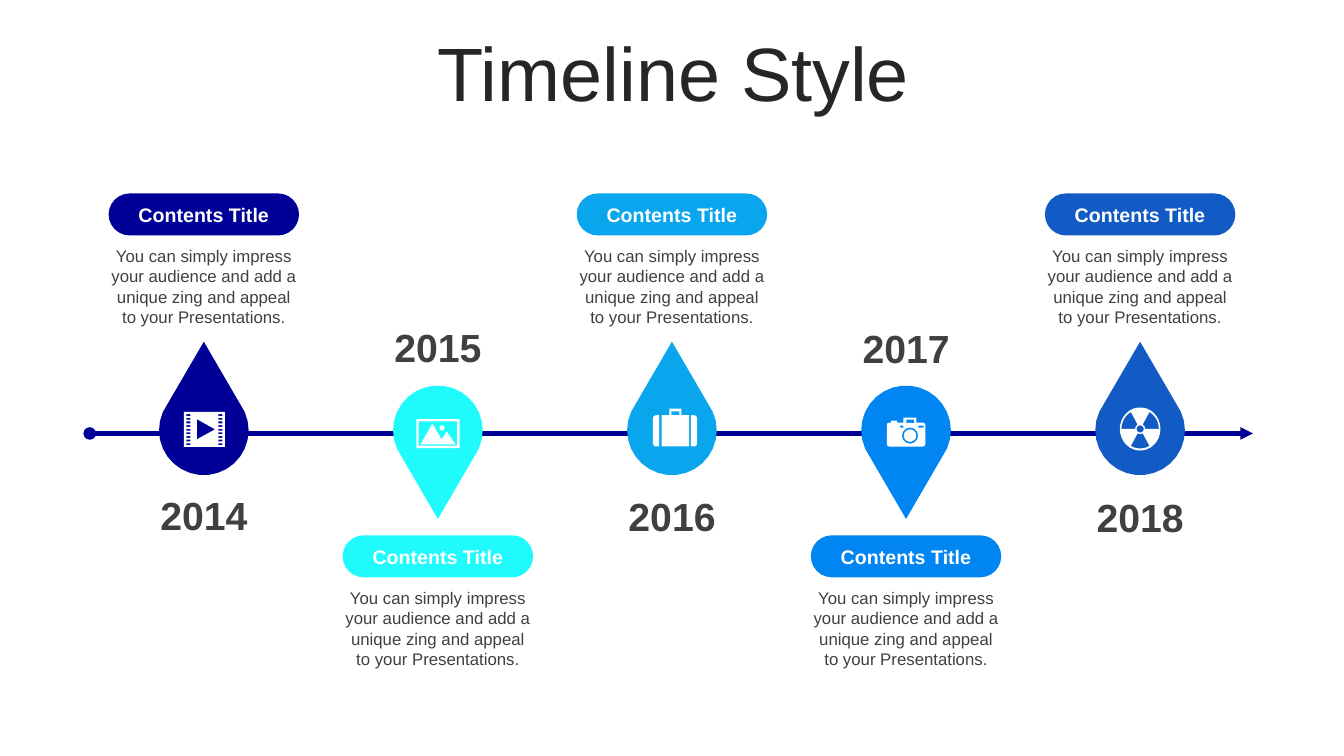
from dataclasses import dataclass
from math import cos, radians, sin

from lxml.etree import SubElement
from pptx import Presentation
from pptx.dml.color import RGBColor as Rgb
from pptx.enum.shapes import MSO_CONNECTOR as Link, MSO_SHAPE as Kind
from pptx.enum.text import MSO_ANCHOR as Anchor, MSO_AUTO_SIZE as Fit, PP_ALIGN as Align
from pptx.oxml.ns import qn
from pptx.util import Pt


@dataclass(frozen=True)
class Theme:
    """Colours, font and type sizes of the slide."""
    font: str = "Arial"
    title: str = "262626"
    text: str = "404040"
    white: str = "FFFFFF"
    line: str = "000096"
    tints: tuple = ("000096", "1FFBFD", "0AA6ED", "0085F2", "125AC4")
    head: int = 54
    year: int = 28
    label: int = 14
    body: int = 12


THEME = Theme()
MID, STEP, AXIS = 480, 167.2, 307.4
BLURB = ("You can simply impress your audience and add a unique zing "
         "and appeal to your Presentations.")
YEARS = (("2014", 350.6), ("2015", 230.4), ("2016", 351.4), ("2017", 231.1), ("2018", 352.1))


def arc(x, y, wide, start, end, high=None):
    """Return points along an arc, in degrees clockwise from the right."""
    if not wide:
        return [(x, y)]
    high = wide if high is None else high
    step = 12 if wide > 10 else 30
    count = round(abs(end - start) / step)
    turns = [radians(start + (end - start) * i / count) for i in range(count + 1)]
    return [(x + wide * cos(t), y + high * sin(t)) for t in turns]


def ring(x, y, wide, high=None):
    """Return the points of a full circle or ellipse."""
    return arc(x, y, wide, 0, 360, high)[:-1]


def box(left, top, right, base, west=0, east=0, extra=()):
    """Return a rectangle with rounded sides and extra points on its top edge."""
    return (arc(left + west, top + west, west, 180, 270) + list(extra)
            + arc(right - east, top + east, east, 270, 360)
            + arc(right - east, base - east, east, 0, 90)
            + arc(left + west, base - west, west, 90, 180))


def bump(left, top, right, base):
    """Return the points of a step that rises from a top edge."""
    return [(left, base), (left, top), (right, top), (right, base)]


def film():
    """Return the outlines of a film frame."""
    holes = [box(x, -11.5 + 2.6 * i, x + 2.9, -10.2 + 2.6 * i)
             for x in (-12.5, 10.4) for i in range(9)]
    return [box(-14.2, -13.1, 15.1, 11.8), [(-5, -8), (-5, 6.5), (8, -0.7)], *holes]


def photo():
    """Return the outlines of a framed landscape."""
    hills = [(-3.9, -4.8), (2.6, 6.5), (6.2, 0.9), (12.7, 10), (-12.5, 10)]
    return [box(-15.4, -8, 15.4, 12.6), box(-13.8, -6.4, 13.8, 11), hills, ring(2.9, -1.8, 1.8)]


def case():
    """Return the outlines of a suitcase."""
    grip = bump(-1.9, -15.5, 6.7, -10.8)
    return [box(-13.6, -10.8, -9.1, 11.5, west=2.2), box(13.5, -10.8, 17.9, 11.5, east=2.2),
            box(-7.5, -10.8, 12.2, 11.5, extra=grip), box(-0.5, -13.5, 5.3, -10.8)]


def camera():
    """Return the outlines of a camera."""
    top = bump(-10.6, -7, -6.3, -5.5) + bump(-1.9, -9.1, 7.4, -5.5)
    return [box(-13.7, -5.5, 13.8, 11.6, 1.8, 1.8, top), box(0.2, -7.7, 5.8, -5.3),
            box(-4.1, -3.4, -1.9, -1.9), box(8.9, -3.4, 12.5, -1.9),
            ring(2.9, 3.8, 5.8), ring(2.9, 3.8, 4.5)]


def atom():
    """Return the outlines of a three-bladed warning sign."""
    blades = [arc(0, -1, 13.4, a, a + 60, 14) + arc(0, -1, 3.6, a + 60, a)
              for a in (60, 180, 300)]
    return [ring(0, -1, 14.5, 15.4), ring(0, -1, 2.6), *blades]


def drop(side):
    """Return the outline of a drop that points up (1) or down (-1)."""
    curve = arc(0, 0, 32, -36, 216) + [(0, -63.3)]
    return [[(x, y * side) for x, y in curve]]


def paint(shape, tint):
    """Fill a shape with a plain colour and drop its outline and shadow."""
    shape.shadow.inherit = False
    shape.fill.solid()
    shape.fill.fore_color.rgb = Rgb.from_string(tint)
    shape.line.fill.background()


def draw(slide, paths, x, tint):
    """Draw closed outlines around a point on the axis as one shape."""
    spots = [[(Pt(x + a), Pt(AXIS + b)) for a, b in path] for path in paths]
    pen = slide.shapes.build_freeform(*spots[0][0])
    for i, path in enumerate(spots):
        if i:
            pen.move_to(*path[0])
        pen.add_line_segments(path[1:], close=True)
    paint(pen.convert_to_shape(), tint)


def write(shape, text, size, tint, bold=False):
    """Set centred text in a shape and format it."""
    frame = shape.text_frame
    frame.word_wrap = True
    frame.text = text
    para = frame.paragraphs[0]
    para.alignment = Align.CENTER
    for run in para.runs:
        run.font.name, run.font.size, run.font.bold = THEME.font, Pt(size), bold
        run.font.color.rgb = Rgb.from_string(tint)
    return frame


def place(slide, x, top, wide, high):
    """Add a text box centred on x."""
    return slide.shapes.add_textbox(Pt(x - wide / 2), Pt(top), Pt(wide), Pt(high))


def add_title(slide, text):
    """Move, fill and format the title placeholder."""
    title = slide.shapes.title
    title.left, title.top, title.width, title.height = Pt(25.2), Pt(26.6), Pt(911.5), Pt(56.9)
    frame = write(title, text, THEME.head, THEME.title)
    frame.auto_size = Fit.NONE
    frame.vertical_anchor = Anchor.MIDDLE
    frame.paragraphs[0].line_spacing = 0.9


def add_axis(slide):
    """Draw the time axis with a dot at its start and an arrow at its end."""
    axis = slide.shapes.add_connector(Link.STRAIGHT, Pt(64.1), Pt(309.6), Pt(895), Pt(309.6))
    axis.line.width = Pt(3)
    axis.line.color.rgb = Rgb.from_string(THEME.line)
    props = axis.element.spPr
    stroke = props.find(qn("a:ln"))
    SubElement(stroke, qn("a:headEnd"), type="oval")
    SubElement(stroke, qn("a:tailEnd"), type="triangle")
    SubElement(props, qn("a:effectLst"))


def add_pill(slide, x, top, tint):
    """Add a rounded label."""
    pill = slide.shapes.add_shape(Kind.ROUNDED_RECTANGLE, Pt(x - 68), Pt(top), Pt(136), Pt(30))
    pill.adjustments[0] = 0.5
    paint(pill, tint)
    frame = write(pill, "Contents Title", THEME.label, THEME.white, True)
    frame.vertical_anchor = Anchor.MIDDLE


def add_year(slide, x, top, year):
    """Add a year beside its drop."""
    frame = write(place(slide, x, top, 90, 34), year, THEME.year, THEME.text, True)
    frame.vertical_anchor = Anchor.MIDDLE
    frame.margin_left = frame.margin_right = frame.margin_top = frame.margin_bottom = 0


def main():
    """Build the slide and save it."""
    deck = Presentation()
    deck.slide_width, deck.slide_height = Pt(960), Pt(540)
    slide = deck.slides.add_slide(deck.slide_layouts[5])
    add_title(slide, "Timeline Style")
    add_axis(slide)
    icons = (film, photo, case, camera, atom)
    for i, ((year, high), tint, icon) in enumerate(zip(YEARS, THEME.tints, icons)):
        x = MID + STEP * (i - 2)
        side, top = (-1, 382.4) if i % 2 else (1, 138.2)
        add_pill(slide, x, top, tint)
        draw(slide, drop(side), x, tint)
        write(place(slide, x, top + 34, 148, 65.5), BLURB, THEME.body, THEME.text)
        add_year(slide, x, high, year)
        draw(slide, icon(), x, THEME.white)
    deck.save("out.pptx")


if __name__ == "__main__":
    main()
